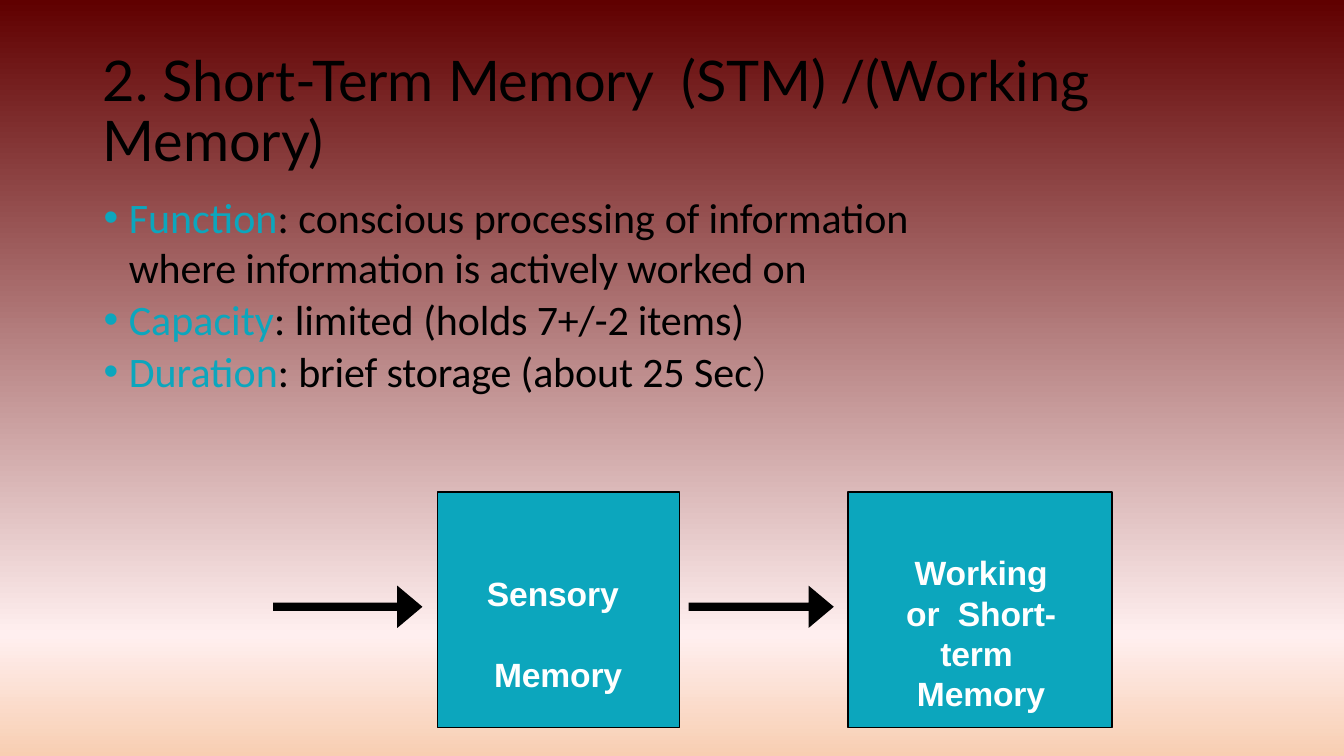
import copy
import pptx
import pptx.dml.color
import pptx.enum.shapes
import pptx.enum.text
import pptx.oxml
import pptx.util
from dataclasses import dataclass
from pptx.util import Inches


@dataclass
class Theme:
    teal: str = "0CA6BD"
    black: str = "000000"
    white: str = "FFFFFF"
    backdrop: tuple = ((0, "600000"), (0.84, "FFEFEF"), (1, "F8CEB2"))
    title_size: int = 40
    body_size: int = 30
    bracket_size: int = 28
    label_size: int = 24
    tight: int = -10  # letter spacing in hundredths of a point


theme = Theme()


def color(value):
    return pptx.dml.color.RGBColor.from_string(value)


def add_span(para, text, font, size, value, bold=False, spacing=0):
    span = para.add_run()
    span.text = text
    span.font.name = font
    span.font.size = pptx.util.Pt(size)
    span.font.bold = bold
    span.font.color.rgb = color(value)
    if spacing:
        span._r.get_or_add_rPr().set("spc", str(spacing))


deck = pptx.Presentation()
deck.slide_width, deck.slide_height = Inches(13.33), Inches(7.5)
page = deck.slides.add_slide(deck.slide_layouts[6])

# Background gradient, running from top to bottom
backdrop = page.background.fill
backdrop.gradient()
backdrop.gradient_angle = 270
stop_list = page.element.xpath(".//a:gsLst")[0]
stop_list.append(copy.deepcopy(stop_list[0]))
for stop, (position, value) in zip(backdrop.gradient_stops, theme.backdrop):
    stop.position = position
    stop.color.rgb = color(value)

# Title
title = page.shapes.add_textbox(Inches(0.92), Inches(0.4), Inches(11.5), Inches(1.45))
title.text_frame.word_wrap = True
title.text_frame.vertical_anchor = pptx.enum.text.MSO_ANCHOR.MIDDLE
para = title.text_frame.paragraphs[0]
para.line_spacing = 0.9
for text, spacing in (("2. ", 0), ("Short-Term Memory  (STM) ", theme.tight),
                      ("/(Working Memory)", 0)):
    add_span(para, text, "Lato", theme.title_size, theme.black, spacing=spacing)

# Bulleted facts: term, then normal, tight and normal text
facts = [
    ("Function", ": conscious processing ",
     "of information where information is actively worked on", ""),
    ("Capacity", ": limited ", "(holds 7+/-2 items)", ""),
    ("Duration", "", ": brief storage (about 25 ", "Sec"),
]
body = page.shapes.add_textbox(Inches(0.92), Inches(1.85), Inches(8.53), Inches(4.37))
body.text_frame.word_wrap = True
for index, (term, *meaning) in enumerate(facts):
    para = body.text_frame.paragraphs[0] if index == 0 else body.text_frame.add_paragraph()
    para.space_before = pptx.util.Pt(1)
    add_span(para, term, "Calibri", theme.body_size, theme.teal)
    for text, spacing in zip(meaning, (0, theme.tight, 0)):
        if text:
            add_span(para, text, "Calibri", theme.body_size, theme.black, spacing=spacing)
    settings = para._p.get_or_add_pPr()
    settings.set("marL", str(Inches(0.26)))
    settings.set("indent", str(Inches(-0.25)))
    for markup in ('<a:buFont {} typeface="Arial"/>', '<a:buChar {} char="•"/>'):
        settings.append(pptx.oxml.parse_xml(
            markup.format('xmlns:a="http://schemas.openxmlformats.org/drawingml/2006/main"')))
add_span(para, ")", "Comic Neue", theme.bracket_size, theme.black)

# Memory boxes: left, width, label, insets (left, top, right), line pitch, hang, alignment
align = pptx.enum.text.PP_ALIGN
stores = [
    (4.34, 2.4, "Sensory  Memory", (0.56, 0.4, 0.4), 57.9, -0.07, align.LEFT),
    (8.41, 2.62, "Working or  Short-term  Memory", (0.47, 0.6, 0.45), 28.8, 0, align.CENTER),
]
for left, width, label, insets, pitch, hang, alignment in stores:
    box = page.shapes.add_shape(pptx.enum.shapes.MSO_SHAPE.RECTANGLE,
                                Inches(left), Inches(4.88), Inches(width), Inches(2.34))
    box.shadow.inherit = False
    box.fill.solid()
    box.fill.fore_color.rgb = color(theme.teal)
    box.line.color.rgb = color(theme.black)
    box.line.width = pptx.util.Pt(1)
    frame = box.text_frame
    frame.word_wrap = True
    frame.vertical_anchor = pptx.enum.text.MSO_ANCHOR.TOP
    frame.margin_left, frame.margin_top, frame.margin_right = map(Inches, insets)
    frame.margin_bottom = 0
    para = frame.paragraphs[0]
    para.alignment = alignment
    para.line_spacing = pptx.util.Pt(pitch)
    if hang:
        # The first line starts left of the ones that follow
        frame.margin_left = Inches(insets[0] + hang)
        settings = para._p.get_or_add_pPr()
        settings.set("marL", str(Inches(-hang)))
        settings.set("indent", str(Inches(hang)))
    add_span(para, label, "Arial", theme.label_size, theme.white,
             bold=True, spacing=theme.tight)

# Arrows leading into each box
middle, half_shaft, half_head, head_length = 6.02, 0.04, 0.21, 0.25
for start, tip in ((2.71, 4.19), (6.83, 8.27)):
    neck = tip - head_length
    outline = [(neck, -half_shaft), (neck, -half_head), (tip, 0), (neck, half_head),
               (neck, half_shaft), (start, half_shaft)]
    builder = page.shapes.build_freeform(Inches(start), Inches(middle - half_shaft))
    builder.add_line_segments([(Inches(x), Inches(middle + y)) for x, y in outline], close=True)
    arrow = builder.convert_to_shape()
    arrow.shadow.inherit = False
    arrow.fill.solid()
    arrow.fill.fore_color.rgb = color(theme.black)
    arrow.line.fill.background()

deck.save("out.pptx")
